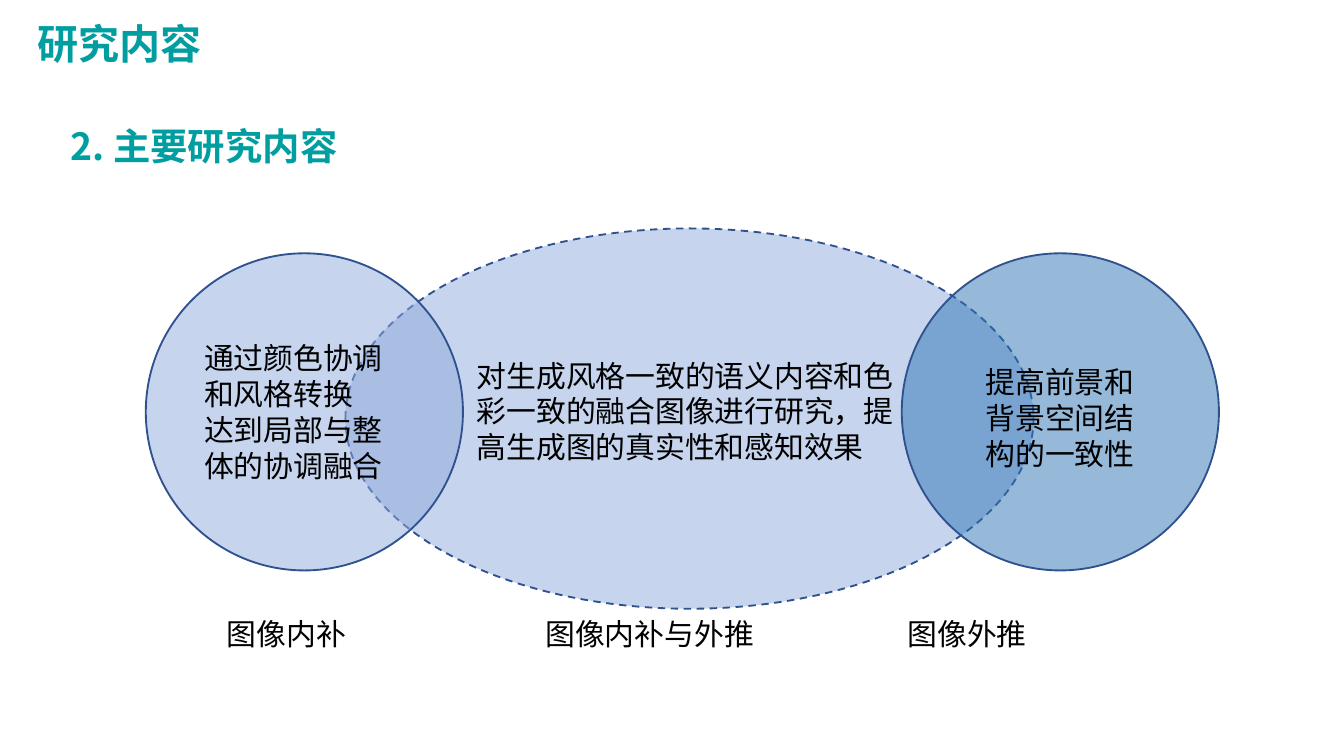
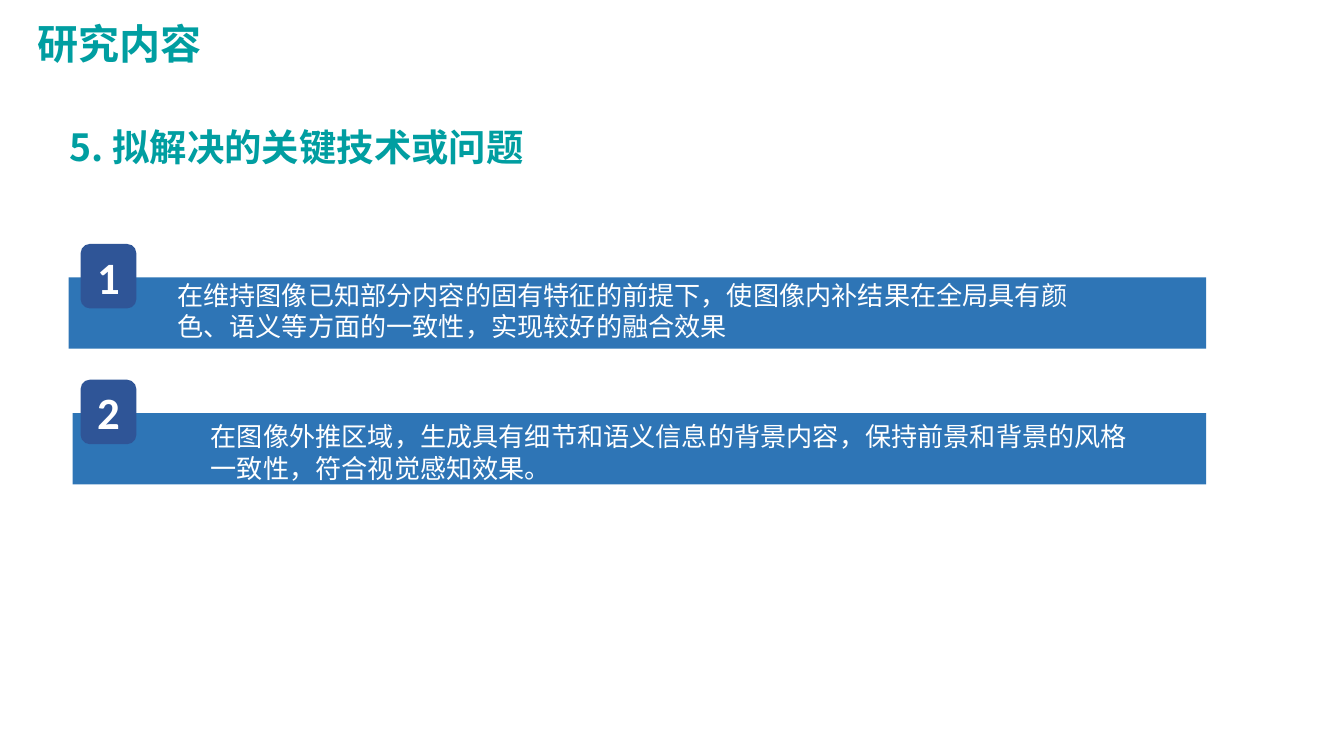
from lxml.etree import SubElement
from pptx import Presentation
from pptx.dml.color import RGBColor
from pptx.enum.dml import MSO_LINE_DASH_STYLE as Dash
from pptx.enum.shapes import MSO_SHAPE as Shape
from pptx.enum.text import MSO_ANCHOR as Anchor, MSO_AUTO_SIZE as AutoSize, PP_ALIGN as Align
from pptx.oxml.ns import qn
from pptx.util import Pt

PX = 4572
SLIDE_SIZE = (2000, 1125)
HEAD_FONT, BODY_FONT = "Noto Sans CJK SC", "Calibri"
TEAL, BLACK, WHITE = "009EA1", "000000", "FFFFFF"
PALE, BLUE, NAVY, OUTLINE = "8FAADC", "2E75B6", "2F5597", "2F528F"

TITLE = "研究内容"
TITLE_BOX = (36, 18, 284, 94)

SCOPE_HEADING = ("2. 主要研究内容", (85, 140, 1850, 120))
AREAS = [
    ((514, 340, 1024, 566), PALE, Dash.DASH),
    ((1342, 377, 472, 472), BLUE, Dash.SOLID),
    ((217, 377, 472, 472), PALE, Dash.SOLID),
]
AREA_TEXTS = [
    (["通过颜色协调和风格转换", "达到局部与整体的协调融合"], (284, 496, 338, 234)),
    (["提高前景和背景空间结构的一致性"], (1447, 532, 280, 180)),
    (["对生成风格一致的语义内容和色彩一致的融合图像进行研究，提高生成图的真实性和感知效果"],
     (690, 522, 694, 180)),
]
AREA_LABELS = [("图像内补", 60), ("图像内补与外推", 534), ("图像外推", 1073)]
LABEL_BOX = (258, 906, 1556, 74)

PROBLEM_HEADING = ("5. 拟解决的关键技术或问题", (84, 142, 836, 120))
PROBLEMS = [
    ("在维持图像已知部分内容的固有特征的前提下，使图像内补结果在全局具有颜色、语义等方面的一致性，实现较好的融合效果",
     102, (244, 406, 1432, 114)),
    ("在图像外推区域，生成具有细节和语义信息的背景内容，保持前景和背景的风格一致性，符合视觉感知效果。",
     108, (294, 616, 1408, 114)),
]
BAR_TOP, BAR_RIGHT, BAR_HEIGHT = 413, 1795, 106
BADGE_LEFT, BADGE_TOP, BADGE_WIDTH, BADGE_HEIGHT = 120, 363, 83, 96
PROBLEM_PITCH = 202


def emu(box):
    return [length * PX for length in box]


def rgb(color):
    return RGBColor.from_string(color)


def write(shape, lines, size, color, font=BODY_FONT, bold=False, align=Align.LEFT,
          anchor=Anchor.TOP, wrap=True):
    frame = shape.text_frame
    frame.text = "\n".join(lines)
    frame.auto_size = AutoSize.NONE
    frame.word_wrap = wrap
    frame.vertical_anchor = anchor
    frame.margin_left = frame.margin_right = 20 * PX
    frame.margin_top = frame.margin_bottom = 10 * PX
    for paragraph in frame.paragraphs:
        paragraph.alignment = align
        paragraph.font.size = Pt(size)
        paragraph.font.bold = bold
        paragraph.font.color.rgb = rgb(color)
        paragraph.font.name = font
        properties = paragraph._p.pPr
        properties.set("hangingPunct", "0")
        SubElement(properties.find(qn("a:defRPr")), qn("a:ea")).set("typeface", HEAD_FONT)
    return frame


def add_text(slide, lines, box, size, color, **style):
    return write(slide.shapes.add_textbox(*emu(box)), lines, size, color, **style)


def add_block(slide, kind, box, color):
    block = slide.shapes.add_shape(kind, *emu(box))
    block.shadow.inherit = False
    block.fill.solid()
    block.fill.fore_color.rgb = rgb(color)
    block.line.fill.background()
    return block


def add_area(slide, box, color, dash):
    area = add_block(slide, Shape.OVAL, box, color)
    fill_color = area.fill._xPr.find(qn("a:solidFill"))[0]
    SubElement(fill_color, qn("a:alpha")).set("val", "50000")
    area.line.color.rgb = rgb(OUTLINE)
    area.line.width = Pt(1)
    area.line.dash_style = dash


def add_labels(slide):
    row = "".join("\t" + label for label, _ in AREA_LABELS)
    frame = add_text(slide, [row], LABEL_BOX, 16, BLACK)
    properties = frame.paragraphs[0]._p.pPr
    stops = SubElement(properties, qn("a:tabLst"))
    properties.find(qn("a:defRPr")).addprevious(stops)
    for _, position in AREA_LABELS:
        stop = SubElement(stops, qn("a:tab"))
        stop.set("pos", str(position * PX))
        stop.set("algn", "l")


def add_slide(deck, heading, heading_box):
    slide = deck.slides.add_slide(deck.slide_layouts.get_by_name("Title Only"))
    title = slide.shapes.title
    title.left, title.top, title.width, title.height = emu(TITLE_BOX)
    write(title, [TITLE], 22, TEAL, font=HEAD_FONT, bold=True, wrap=False)
    frame = add_text(slide, [heading], heading_box, 20, TEAL, font=HEAD_FONT,
                     bold=True, align=Align.JUSTIFY)
    frame.paragraphs[0].line_spacing = 1.5
    frame.paragraphs[0].space_after = Pt(12)
    return slide


def build_scope(deck):
    slide = add_slide(deck, *SCOPE_HEADING)
    for area in AREAS:
        add_area(slide, *area)
    for lines, box in AREA_TEXTS:
        add_text(slide, lines, box, 16, BLACK)
    add_labels(slide)


def build_problems(deck):
    slide = add_slide(deck, *PROBLEM_HEADING)
    for index, (problem, left, text_box) in enumerate(PROBLEMS):
        shift = index * PROBLEM_PITCH
        add_block(slide, Shape.RECTANGLE,
                  (left, BAR_TOP + shift, BAR_RIGHT - left, BAR_HEIGHT), BLUE)
        add_text(slide, [problem], text_box, 14, WHITE)
        badge = add_block(slide, Shape.ROUNDED_RECTANGLE,
                          (BADGE_LEFT, BADGE_TOP + shift, BADGE_WIDTH, BADGE_HEIGHT), NAVY)
        write(badge, [str(index + 1)], 24, WHITE, bold=True, align=Align.CENTER,
              anchor=Anchor.MIDDLE)


def main():
    deck = Presentation()
    deck.slide_width, deck.slide_height = emu(SLIDE_SIZE)
    build_scope(deck)
    build_problems(deck)
    deck.save("out.pptx")


if __name__ == "__main__":
    main()
